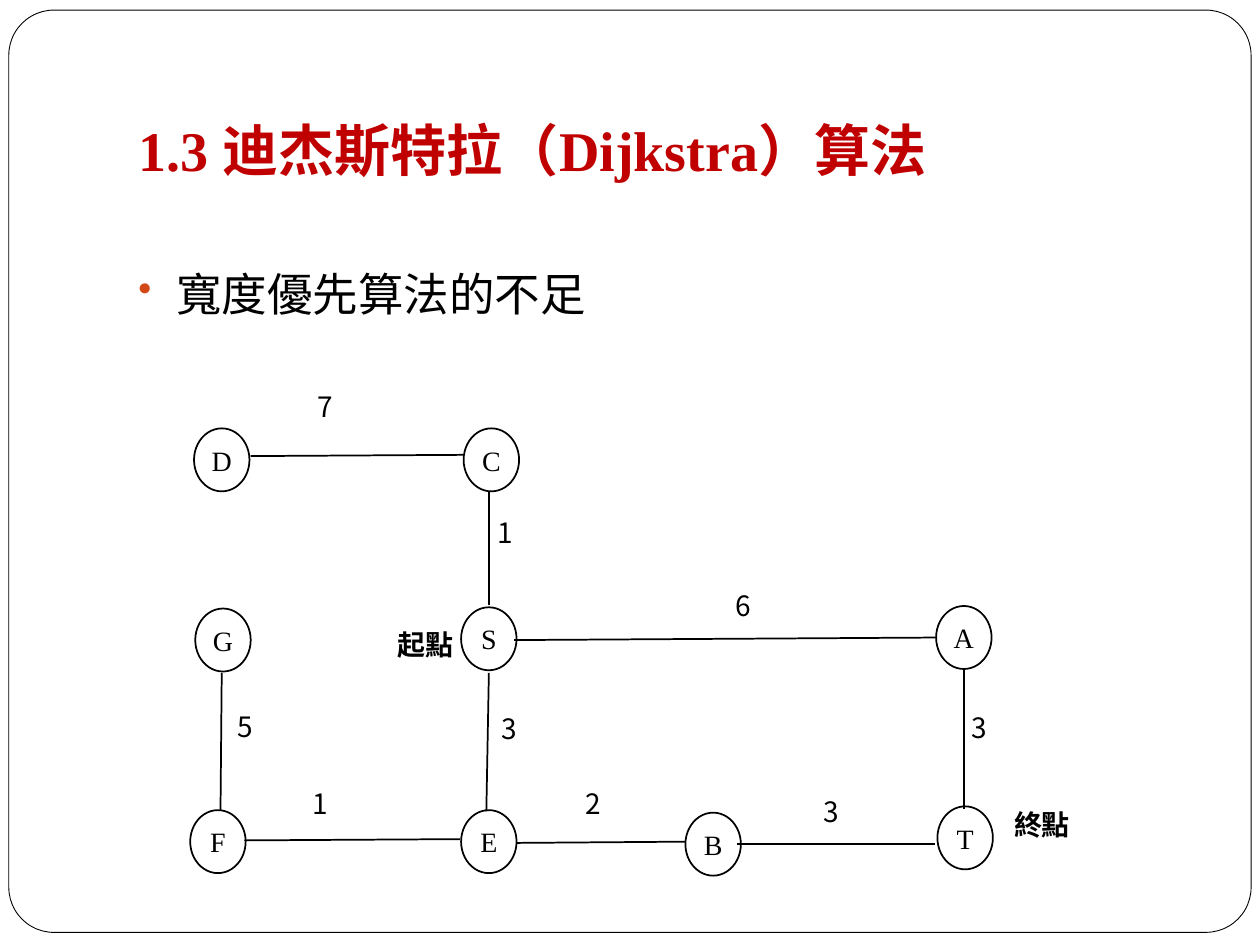
from lxml import etree
from pptx import Presentation
from pptx.dml.color import RGBColor
from pptx.enum.shapes import MSO_CONNECTOR, MSO_SHAPE
from pptx.enum.text import MSO_ANCHOR, PP_ALIGN
from pptx.oxml.ns import qn
from pptx.util import Inches, Pt

STRAIGHT = MSO_CONNECTOR.STRAIGHT
ELLIPSE, RECTANGLE = MSO_SHAPE.OVAL, MSO_SHAPE.RECTANGLE
ROUNDED = MSO_SHAPE.ROUNDED_RECTANGLE
MIDDLE, TOP, BOTTOM = MSO_ANCHOR.MIDDLE, MSO_ANCHOR.TOP, MSO_ANCHOR.BOTTOM
CENTER, LEFT, JUSTIFY = PP_ALIGN.CENTER, PP_ALIGN.LEFT, PP_ALIGN.JUSTIFY

BLACK = RGBColor(0x00, 0x00, 0x00)
WHITE = RGBColor(0xFF, 0xFF, 0xFF)
RED = RGBColor(0xC0, 0x00, 0x00)
ORANGE = RGBColor(0xD3, 0x48, 0x17)
SERIF, SANS = "Times New Roman", "Noto Sans CJK SC"

NODE_WIDTH, NODE_HEIGHT = 0.44, 0.5
LABEL_HEIGHT, WEIGHT_WIDTH, NAME_WIDTH = 0.53, 0.48, 0.86

NODES = {
    "D": (0.04, 0.4), "C": (2.18, 0.4),
    "G": (0.05, 1.83), "S": (2.16, 1.82), "A": (5.93, 1.81),
    "F": (0.01, 3.43), "E": (2.16, 3.43), "B": (3.94, 3.45), "T": (5.94, 3.4),
}
EDGES = [
    ((0.49, 0.62), (2.18, 0.61), "7", (0.92, 0.04)),
    ((2.38, 0.9), (2.38, 1.8), "1", (2.35, 1.04)),
    ((2.58, 2.08), (5.93, 2.06), "6", (4.24, 1.62)),
    ((0.26, 2.34), (0.25, 3.43), "5", (0.29, 2.58)),
    ((2.38, 2.34), (2.36, 3.44), "3", (2.38, 2.6)),
    ((6.15, 2.31), (6.15, 3.42), "3", (6.11, 2.59)),
    ((0.44, 3.67), (2.15, 3.66), "1", (0.88, 3.19)),
    ((2.6, 3.69), (3.94, 3.68), "2", (3.05, 3.19)),
    ((4.35, 3.7), (5.92, 3.7), "3", (4.94, 3.26)),
]
ENDPOINT_NAMES = [("起點", (1.56, 1.93)), ("終點", (6.45, 3.36))]


def set_font(paragraph, name, size, color, bold=False):
    """Format every run of a paragraph alike."""
    font = paragraph.font
    font.name, font.size, font.bold = name, Pt(size), bold
    font.color.rgb = color


def set_margins(frame, left, top, right, bottom):
    """Set the insets of a text frame in inches."""
    frame.margin_left, frame.margin_top = Inches(left), Inches(top)
    frame.margin_right, frame.margin_bottom = Inches(right), Inches(bottom)


def place(shape, left, top, width, height):
    """Move and size a shape in inches."""
    shape.left, shape.top = Inches(left), Inches(top)
    shape.width, shape.height = Inches(width), Inches(height)


def add_frame(slide, left, top, width, height):
    """Draw the rounded border around the slide."""
    frame = slide.shapes.add_shape(
        ROUNDED, Inches(left), Inches(top), Inches(width), Inches(height))
    frame.adjustments[0] = 0.049
    frame.shadow.inherit = False
    frame.fill.solid()
    frame.fill.fore_color.rgb = WHITE
    frame.line.color.rgb = BLACK
    frame.line.width = Pt(0.5)


def add_title(slide, left, top, width, height):
    """Fill and format the title placeholder."""
    title = slide.shapes.title
    place(title, left, top, width, height)
    frame = title.text_frame
    frame.text = "1.3 迪杰斯特拉（Dijkstra）算法"
    frame.word_wrap = True
    frame.vertical_anchor = BOTTOM
    set_margins(frame, 0.1, 0.05, 0.1, 0.1)
    paragraph = frame.paragraphs[0]
    paragraph.alignment = LEFT
    set_font(paragraph, SERIF, 32, RED, bold=True)


def add_bullet(slide, left, top, width, height):
    """Add the bulleted statement."""
    box = slide.shapes.add_textbox(
        Inches(left), Inches(top), Inches(width), Inches(height))
    box.text_frame.word_wrap = True
    paragraph = box.text_frame.paragraphs[0]
    paragraph.text = "寬度優先算法的不足"
    properties = paragraph._p.get_or_add_pPr()
    properties.set("marL", str(Inches(0.3)))
    properties.set("indent", str(-Inches(0.3)))
    color = etree.SubElement(properties, qn("a:buClr"))
    etree.SubElement(color, qn("a:srgbClr"), val=str(ORANGE))
    etree.SubElement(properties, qn("a:buSzPct"), val="85000")
    etree.SubElement(properties, qn("a:buChar"), char="•")
    set_font(paragraph, SERIF, 26, BLACK)


def add_label(slide, text, left, top, width, bold=False):
    """Add a white label with its text at the top."""
    label = slide.shapes.add_shape(
        RECTANGLE, Inches(left), Inches(top), Inches(width), Inches(LABEL_HEIGHT))
    label.shadow.inherit = False
    label.fill.solid()
    label.fill.fore_color.rgb = WHITE
    label.line.fill.background()
    frame = label.text_frame
    frame.text = text
    frame.vertical_anchor = TOP
    paragraph = frame.paragraphs[0]
    paragraph.alignment = JUSTIFY
    set_font(paragraph, SANS, 16, BLACK, bold)


def add_edge(slide, left, top, start, end):
    """Draw an edge between two points of the graph."""
    edge = slide.shapes.add_connector(
        STRAIGHT, Inches(left + start[0]), Inches(top + start[1]),
        Inches(left + end[0]), Inches(top + end[1]))
    edge.line.color.rgb = BLACK
    edge.line.width = Pt(1)
    etree.SubElement(edge._element.spPr, qn("a:effectLst"))


def add_node(slide, name, left, top):
    """Draw a named node of the graph."""
    node = slide.shapes.add_shape(
        ELLIPSE, Inches(left), Inches(top), Inches(NODE_WIDTH), Inches(NODE_HEIGHT))
    node.shadow.inherit = False
    node.fill.background()
    node.line.color.rgb = BLACK
    node.line.width = Pt(1)
    frame = node.text_frame
    frame.text = name
    frame.vertical_anchor = MIDDLE
    set_margins(frame, 0, 0, 0, 0)
    paragraph = frame.paragraphs[0]
    paragraph.alignment = CENTER
    set_font(paragraph, SERIF, 16, BLACK)


def add_graph(slide, left, top):
    """Draw the weighted graph from its top left corner."""
    for _, _, weight, (x, y) in EDGES:
        add_label(slide, weight, left + x, top + y, WEIGHT_WIDTH)
    for name, (x, y) in ENDPOINT_NAMES:
        add_label(slide, name, left + x, top + y, NAME_WIDTH, bold=True)
    for start, end, _, _ in EDGES:
        add_edge(slide, left, top, start, end)
    for name, (x, y) in NODES.items():
        add_node(slide, name, left + x, top + y)


def main():
    """Build and save the presentation."""
    presentation = Presentation()
    presentation.slide_width, presentation.slide_height = Inches(10), Inches(7.5)
    slide = presentation.slides.add_slide(presentation.slide_layouts[5])
    add_frame(slide, 0.07, 0.08, 9.86, 7.32)
    slide.shapes._spTree.append(slide.shapes.title._element)
    add_title(slide, 1, 0.3, 8.5, 1.25)
    add_bullet(slide, 1, 2.06, 8.5, 0.7)
    add_graph(slide, 1.5, 3)
    presentation.save("out.pptx")


if __name__ == "__main__":
    main()
